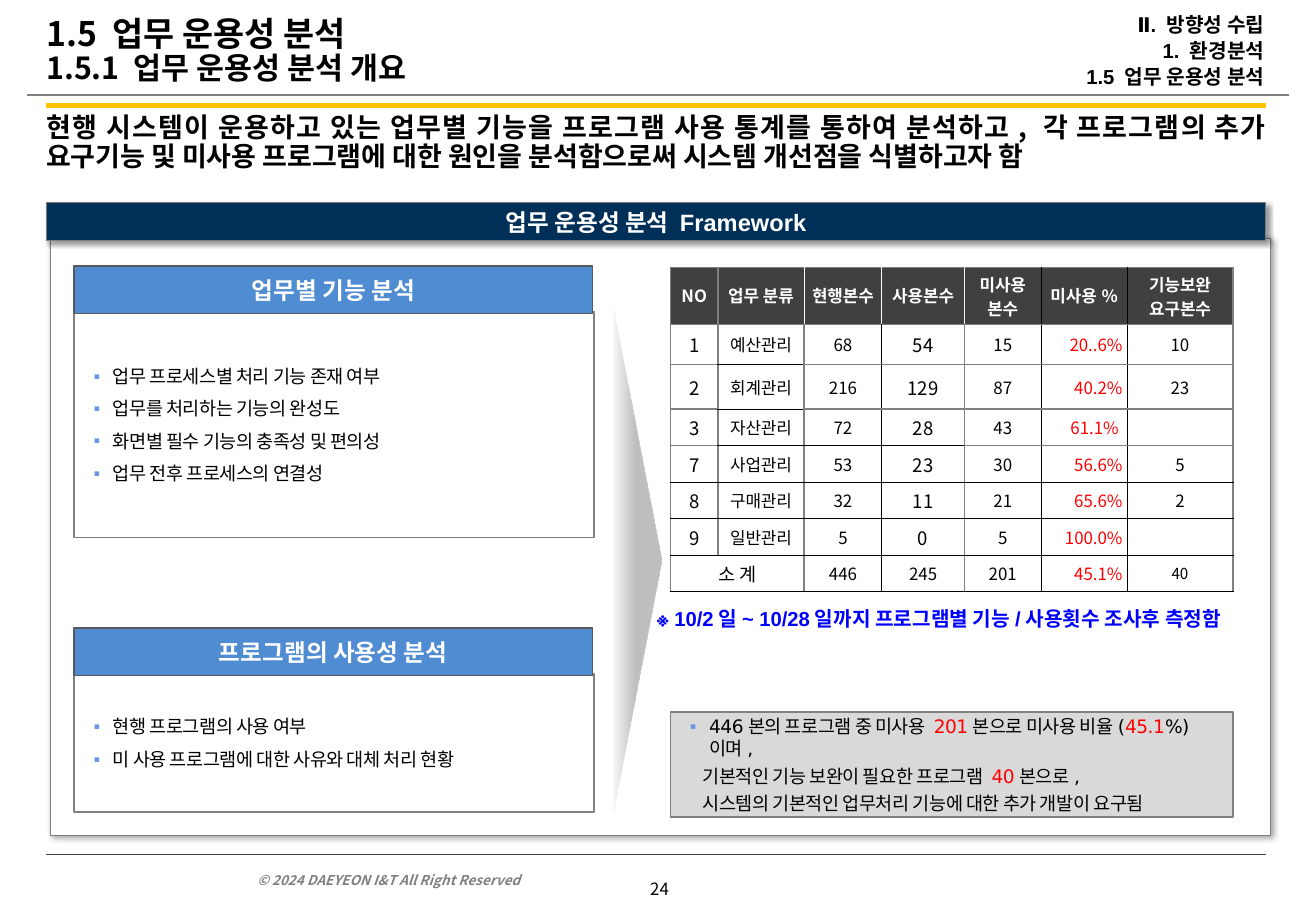
from lxml import etree
from pptx import Presentation
from pptx.dml.color import RGBColor
from pptx.enum import shapes, text
from pptx.oxml import parse_xml
from pptx.oxml.ns import nsdecls, qn
from pptx.util import Pt

COLORS = {"black": "000000", "white": "FFFFFF", "grey": "808080", "navy": "003058",
          "blue": "508CD2", "bullet": "6B94E2", "red": "FF0000", "note": "0000FF",
          "gold": "FFC000", "dark": "404040", "edge": "595959", "pale": "D9D9D9",
          "arrow": "BFBFBF", "light": "F2F2F2"}
NOTO, ARIAL, DEJAVU = "Noto Sans CJK KR", "Arial", "DejaVu Sans"
LEFT, CENTER, RIGHT = text.PP_ALIGN.LEFT, text.PP_ALIGN.CENTER, text.PP_ALIGN.RIGHT
TOP, MIDDLE, BOTTOM = text.MSO_ANCHOR.TOP, text.MSO_ANCHOR.MIDDLE, text.MSO_ANCHOR.BOTTOM

TITLE = "1.5 업무 운용성 분석\v1.5.1 업무 운용성 분석 개요"
CRUMBS = ["Ⅱ. 방향성 수립", "1. 환경분석", "1.5 업무 운용성 분석"]
HEADLINE = ["현행 시스템이 운용하고 있는 업무별 기능을 프로그램 사용 통계를 통하여 분석하고, 각 프로그램의 추가 "
            "요구기능 및 미사용 프로그램에 대한 원인을 분석함으로써 시스템 개선점을 식별하고자 함"]
FRAMEWORK = ["업무 운용성 분석 Framework"]
ANALYSES = [
    (157.7, 133.9, "업무별 기능 분석",
     ["업무 프로세스별 처리 기능 존재 여부", "업무를 처리하는 기능의 완성도",
      "화면별 필수 기능의 충족성 및 편의성", "업무 전후 프로세스의 연결성"]),
    (372.2, 82.1, "프로그램의 사용성 분석",
     ["현행 프로그램의 사용 여부", "미 사용 프로그램에 대한 사유와 대체 처리 현황"]),
]
USAGE = [
    ["NO", "업무 분류", "현행본수", "사용본수", "미사용\n본수", "미사용%", "기능보완\n요구본수"],
    ["1", "예산관리", "68", "54", "15", "20..6%", "10"],
    ["2", "회계관리", "216", "129", "87", "40.2%", "23"],
    ["3", "자산관리", "72", "28", "43", "61.1% ", ""],
    ["7", "사업관리", "53", "23", "30", "56.6%", "5"],
    ["8", "구매관리", "32", "11", "21", "65.6%", "2"],
    ["9", "일반관리", "5", "0", "5", "100.0%", ""],
    ["소 계", "", "446", "245", "201", "45.1%", "40"],
]
COLUMN_WIDTHS = [28.1, 51.1, 46.1, 49, 45.4, 51.1, 62.6]
ROW_HEIGHTS = [33.8, 23.8, 26.6] + [21.6] * 5
HEADER_RULES = ["grey", "grey", "white", "white", "light", "black", "black", "grey"]
BODY_RULES = ["grey", "grey", "grey", "black", "grey", "black", "black", "grey"]
NOTE = ["※ 10/2일~ 10/28일까지 프로그램별 기능/사용횟수 조사후 측정함"]
SUMMARY = [
    [("446본의 프로그램 중 미사용 ", "black"), ("201", "red"), ("본으로 미사용 비율(", "black"),
     ("45.1", "red"), ("%)이며,", "black")],
    [("기본적인 기능 보완이 필요한 프로그램 ", "black"), ("40", "red"), ("본으로,", "black")],
    "시스템의 기본적인 업무처리 기능에 대한 추가 개발이 요구됨",
]
COPYRIGHT = ["© 2024 DAEYEON I&T All Right Reserved"]
PAGE = ["24"]
RULES = [(15.8, 763.9, 56.2, "grey", 1.5), (27.4, 750.2, 62.6, "gold", 2.5),
         (27.4, 750.2, 506.2, "dark", 0.5)]


def rgb(name):
    return RGBColor.from_string(COLORS[name])


def style_run(run, size, face, color, bold=False, italic=False, tracking=0):
    font = run.font
    font.size, font.name, font.bold, font.italic = Pt(size), face, bold, italic
    font.color.rgb = rgb(color)
    props = run._r.get_or_add_rPr()
    etree.SubElement(props, qn("a:ea")).set("typeface", NOTO)
    props.set("kern", "0")
    if tracking:
        props.set("spc", str(tracking))


def indent(paragraph, left, first=0, bullet=False):
    props = paragraph._p.get_or_add_pPr()
    props.set("marL", str(Pt(left)))
    props.set("indent", str(Pt(first)))
    if bullet:
        color = etree.SubElement(props, qn("a:buClr"))
        etree.SubElement(color, qn("a:srgbClr")).set("val", COLORS["bullet"])
        etree.SubElement(props, qn("a:buSzPct")).set("val", "90000")
        etree.SubElement(props, qn("a:buFont")).set("typeface", NOTO)
        etree.SubElement(props, qn("a:buChar")).set("char", "▪")


def write(frame, lines, size, face, color="black", align=LEFT, anchor=TOP, insets=(7.2, 3.6, 7.2, 3.6),
          wrap=True, gap=0, spacing=None, bullets=0, plain_indent=0, **look):
    frame.word_wrap, frame.vertical_anchor = wrap, anchor
    frame.margin_left, frame.margin_top, frame.margin_right, frame.margin_bottom = map(Pt, insets)
    for i, line in enumerate(lines):
        paragraph = frame.paragraphs[0] if i == 0 else frame.add_paragraph()
        if i < bullets:
            indent(paragraph, 14.4, -14.4, True)
        elif plain_indent:
            indent(paragraph, plain_indent)
        paragraph.alignment = align
        if spacing:
            paragraph.line_spacing = spacing
        if i and gap:
            paragraph.space_before = Pt(gap)
        for words, tint in [(line, color)] if isinstance(line, str) else line:
            run = paragraph.add_run()
            run.text = words
            style_run(run, size, face, tint, **look)


def add_text(slide, box, lines, size, face, **options):
    frame = slide.shapes.add_textbox(*map(Pt, box)).text_frame
    write(frame, lines, size, face, **options)


def add_block(slide, box, fill, edge, width, shadow=False):
    block = slide.shapes.add_shape(shapes.MSO_SHAPE.RECTANGLE, *map(Pt, box))
    block.fill.solid()
    block.fill.fore_color.rgb = rgb(fill)
    block.line.color.rgb = rgb(edge)
    block.line.width = Pt(width)
    block.shadow.inherit = False
    if shadow:
        block._element.spPr.find(qn("a:effectLst")).append(parse_xml(
            f'<a:outerShdw {nsdecls("a")} blurRad="{Pt(3)}" dist="{Pt(2)}" dir="2700000" algn="tl" '
            'rotWithShape="0"><a:srgbClr val="000000"><a:alpha val="40000"/></a:srgbClr></a:outerShdw>'))
    return block.text_frame


def add_flow_arrow(slide):
    arrow = slide.shapes.add_shape(shapes.MSO_SHAPE.ISOSCELES_TRIANGLE, Pt(227.5), Pt(318.2), Pt(301), Pt(28.1))
    arrow.rotation = 90
    arrow.shadow.inherit = False
    arrow.line.fill.background()
    stops = "".join(
        f'<a:gs pos="{pos}000"><a:srgbClr val="{COLORS["arrow"]}"><a:alpha val="{alpha}000"/></a:srgbClr></a:gs>'
        for pos, alpha in [(0, 100), (55, 100), (100, 10)])
    arrow._element.spPr.find(qn("a:prstGeom")).addnext(parse_xml(
        f'<a:gradFill {nsdecls("a")} rotWithShape="1"><a:gsLst>{stops}</a:gsLst>'
        '<a:lin ang="5400000" scaled="0"/></a:gradFill>'))


def level_color(level, column):
    grey = level <= 1 or (level <= 3 and column != 1) or (level == 4 and column in (0, 4, 5, 6))
    return "grey" if grey else "black"


def add_borders(cell, row, column, span):
    rules = BODY_RULES if row else HEADER_RULES
    sides = {"L": rules[column], "R": rules[column + span],
             "T": level_color(row, column), "B": level_color(row + 1, column)}
    props = cell._tc.get_or_add_tcPr()
    for i, (side, color) in enumerate(sides.items()):
        width = Pt(1 if color == "grey" else 0.5)
        props.insert(i, parse_xml(
            f'<a:ln{side} {nsdecls("a")} w="{width}"><a:solidFill><a:srgbClr val="{COLORS[color]}"/>'
            f'</a:solidFill></a:ln{side}>'))


def cell_size(row, column):
    last = len(USAGE) - 1
    if row == last and column == 6:
        return 9
    return 11 if row and (column == 0 or (column == 3 and row < last)) else 10


def add_usage_table(slide):
    table = slide.shapes.add_table(len(USAGE), len(COLUMN_WIDTHS), Pt(397.4), Pt(158.4),
                                   Pt(sum(COLUMN_WIDTHS)), Pt(sum(ROW_HEIGHTS))).table
    table.first_row = table.horz_banding = False
    for column, width in zip(table.columns, COLUMN_WIDTHS):
        column.width = Pt(width)
    for row, height in zip(table.rows, ROW_HEIGHTS):
        row.height = Pt(height)
    last = len(USAGE) - 1
    table.cell(last, 0).merge(table.cell(last, 1))
    for r, values in enumerate(USAGE):
        for c, value in enumerate(values):
            cell = table.cell(r, c)
            if cell.is_spanned:
                continue
            cell.fill.solid()
            cell.fill.fore_color.rgb = rgb("white" if r else "dark")
            add_borders(cell, r, c, 2 if cell.is_merge_origin else 1)
            cell.vertical_anchor = MIDDLE
            cell.margin_left = cell.margin_right = cell.margin_top = cell.margin_bottom = Pt(2.9)
            cell.text_frame.text = value
            percent = r > 0 and c == 5
            color = "red" if percent else "black" if r else "white"
            for paragraph in cell.text_frame.paragraphs:
                paragraph.alignment = RIGHT if percent else CENTER
                for run in paragraph.runs:
                    style_run(run, cell_size(r, c), NOTO, color, bold=r == 0)
                if not value:
                    etree.SubElement(paragraph._p, qn("a:endParaRPr")).set("sz", "1000")


def main():
    deck = Presentation()
    deck.slide_width, deck.slide_height = Pt(780), Pt(540)
    slide = deck.slides.add_slide(deck.slide_layouts[5])

    for start, end, y, color, width in RULES:
        rule = slide.shapes.add_connector(shapes.MSO_CONNECTOR.STRAIGHT, Pt(start), Pt(y), Pt(end), Pt(y))
        rule.line.color.rgb, rule.line.width = rgb(color), Pt(width)
        etree.SubElement(rule._element.spPr, qn("a:effectLst"))

    title = slide.shapes.title
    title.left, title.top, title.width, title.height = map(Pt, (27.4, 0, 374.4, 61.2))
    heading = title.text_frame
    write(heading, [], 20, NOTO, anchor=MIDDLE, insets=(0, 0, 0, 0))
    heading.auto_size = text.MSO_AUTO_SIZE.NONE
    heading.text = TITLE
    heading.paragraphs[0].alignment = LEFT
    heading.paragraphs[0].line_spacing = 0.9
    for run, size in zip(heading.paragraphs[0].runs, (20, 18)):
        style_run(run, size, NOTO, "black", bold=True)

    add_text(slide, (494.6, 0, 254.9, 61.9), CRUMBS, 12, ARIAL, align=RIGHT, anchor=MIDDLE,
             insets=(0, 3.6, 0, 3.6), spacing=0.9, gap=2.4, bold=True)
    add_text(slide, (27.4, 67.7, 722.9, 49), HEADLINE, 16, NOTO, align=text.PP_ALIGN.JUSTIFY,
             insets=(0, 0, 0, 0), spacing=0.9, bold=True)
    add_text(slide, (145.4, 510.5, 217.4, 19.4), COPYRIGHT, 8, NOTO, color="grey", anchor=BOTTOM,
             bold=True, italic=True)
    add_text(slide, (378.3, 517, 25.2, 19.4), PAGE, 10, NOTO, align=CENTER, wrap=False,
             insets=(4.3, 3.6, 4.3, 3.6))

    add_block(slide, (30.2, 141.1, 722.9, 354.2), "white", "grey", 0.5, shadow=True)
    band = add_block(slide, (27.4, 120.2, 722.9, 22.3), "navy", "grey", 0.5, shadow=True)
    write(band, FRAMEWORK, 14, ARIAL, color="white", align=CENTER, anchor=MIDDLE, bold=True)

    body_insets = (8.6, 2.9, 5.8, 2.9)
    for top, height, name, points in ANALYSES:
        body = add_block(slide, (43.9, top + 27, 308.2, height), "white", "grey", 1)
        write(body, points, 11, DEJAVU, anchor=MIDDLE, insets=body_insets, gap=6,
              bullets=len(points), tracking=-30)
        head = add_block(slide, (43.9, top, 307.4, 28.1), "blue", "edge", 0.75)
        write(head, [name], 14, NOTO, color="white", align=CENTER, anchor=MIDDLE,
              insets=(5.8, 2.9, 5.8, 2.9), bold=True)

    summary = add_block(slide, (397.4, 421.9, 333.4, 62.6), "pale", "grey", 1)
    write(summary, SUMMARY, 11, DEJAVU, anchor=MIDDLE, insets=body_insets, gap=3, bullets=1,
          plain_indent=10.5, tracking=-30)
    add_flow_arrow(slide)
    add_usage_table(slide)
    add_text(slide, (382.3, 355.7, 383, 21.6), NOTE, 12, ARIAL, color="note", wrap=False, bold=True)
    deck.save("out.pptx")


if __name__ == "__main__":
    main()
